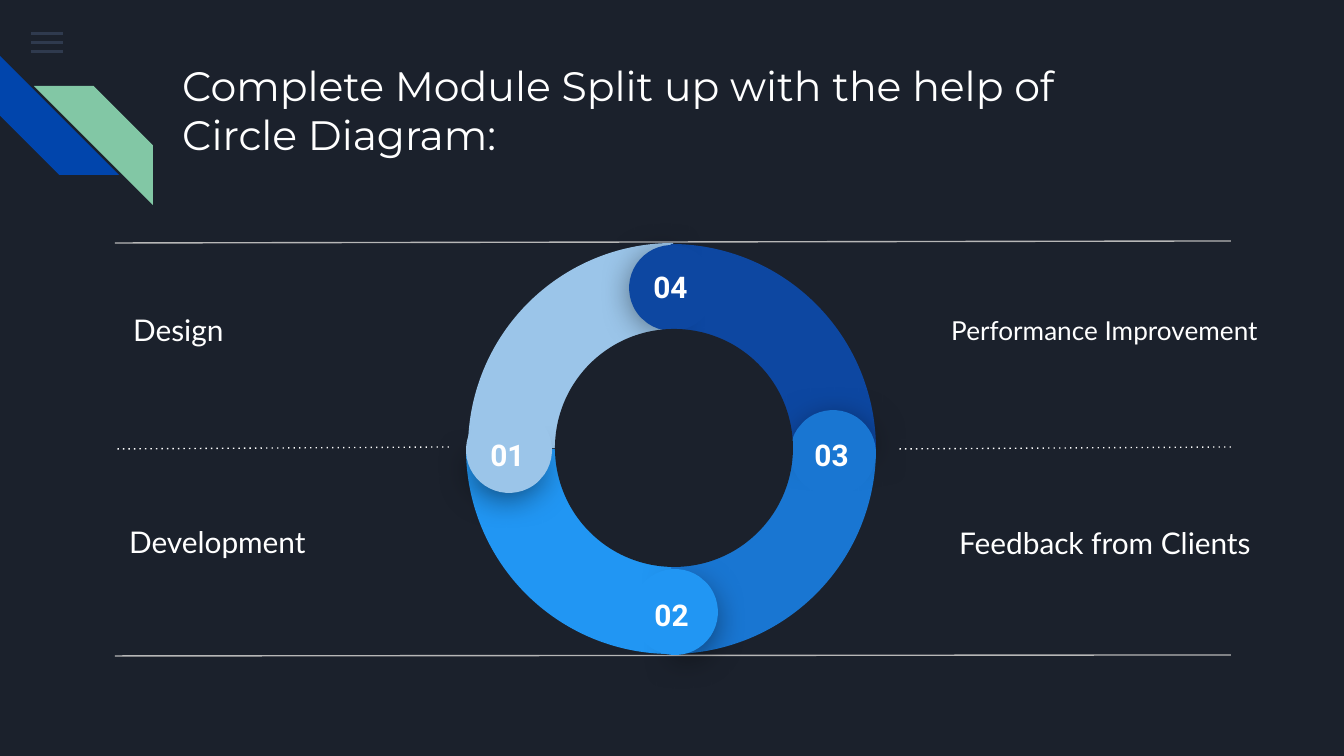
from lxml.etree import SubElement
from pptx import Presentation
from pptx.dml.color import RGBColor
from pptx.enum.shapes import MSO_CONNECTOR, MSO_SHAPE
from pptx.enum.text import MSO_ANCHOR, PP_ALIGN
from pptx.oxml.ns import qn
from pptx.util import Inches, Pt

PX = Inches(10) / 1344

NAVY = RGBColor(0x1B, 0x21, 0x2C)
WHITE = RGBColor(0xFF, 0xFF, 0xFF)
GRAY = RGBColor(0xB7, 0xB7, 0xB7)
SLATE = RGBColor(0x55, 0x68, 0x8B)
ROYAL = RGBColor(0x01, 0x45, 0xAC)
MINT = RGBColor(0x82, 0xC7, 0xA5)
PALE = RGBColor(0x9B, 0xC5, 0xE9)
BRIGHT = RGBColor(0x21, 0x96, 0xF3)
MEDIUM = RGBColor(0x19, 0x76, 0xD2)
DEEP = RGBColor(0x0D, 0x47, 0xA1)

# Content: boxes are left, top, width, height in px
TITLE = ["Complete Module Split up with the help of", "Circle Diagram:"]
TITLE_BOX = (169, 47, 1062, 147)
MODULES = [
    ("Design", (120, 281, 302, 98), 16),
    ("Development", (116, 497, 294, 89), 16),
    ("Performance Improvement", (938, 276, 351, 109), 14),
    ("Feedback from Clients", (946, 488, 351, 109), 16),
]
RULES = [  # left, right, left y, right y, colour, dotted
    (115, 1231, 243, 241, GRAY, False),
    (115, 449, 449, 447, WHITE, True),
    (897, 1231, 449, 447, WHITE, True),
    (115, 1231, 656, 655, GRAY, False),
]
QUADRANTS = [  # clockwise from the upper left
    (PALE, (468, 243)), (DEEP, (466, 244)), (MEDIUM, (466, 244)), (BRIGHT, (466, 244)),
]
CAPS = [  # number, colour, corners of half disc, full disc and label
    ("01", PALE, (468, 413), (466, 407), (470, 423)),
    ("02", BRIGHT, (637, 575), (632, 569), (634, 583)),
    ("03", MEDIUM, (797, 413), (790, 410), (794, 423)),
    ("04", DEEP, (632, 246), (629, 245), (633, 255)),
]
RING, HOLE, HALF_DISC, DISC = 410, 238, 77, 86


def px(*values):
    return [round(value * PX) for value in values]


def arc(*degrees):
    """Turn angles into adjustment values."""
    return [degree * 0.6 for degree in degrees]


def add_shape(slide, kind, box, color, rotation=0, adjustments=()):
    shape = slide.shapes.add_shape(kind, *px(*box))
    shape.shadow.inherit = False
    shape.fill.solid()
    shape.fill.fore_color.rgb = color
    shape.line.fill.background()
    shape.rotation = rotation
    for index, value in enumerate(adjustments):
        shape.adjustments[index] = value
    return shape


def set_alpha(color_element, percent):
    SubElement(color_element, qn("a:alpha"), val=str(percent * 1000))


def add_drop_shadow(shape):
    effects = shape._element.spPr.find(qn("a:effectLst"))
    shadow = SubElement(effects, qn("a:outerShdw"), blurRad=str(Pt(18)), dist=str(Pt(4)),
                        dir="5400000", algn="tl", rotWithShape="0")
    set_alpha(SubElement(shadow, qn("a:srgbClr"), val="000000"), 55)


def add_text(slide, lines, box, size, font, anchor=MSO_ANCHOR.TOP,
             align=PP_ALIGN.LEFT, bold=False):
    text_frame = slide.shapes.add_textbox(*px(*box)).text_frame
    text_frame.word_wrap = True
    text_frame.vertical_anchor = anchor
    text_frame.margin_left = text_frame.margin_right = Inches(0.1)
    text_frame.margin_top = text_frame.margin_bottom = Inches(0.1)
    text_frame.text = "\n".join(lines)
    for paragraph in text_frame.paragraphs:
        paragraph.alignment = align
        for run in paragraph.runs:
            run.font.size = Pt(size)
            run.font.name = font
            run.font.bold = bold
            run.font.color.rgb = WHITE


def add_rule(slide, left, right, left_y, right_y, color, dotted):
    rule = slide.shapes.add_connector(MSO_CONNECTOR.STRAIGHT,
                                      *px(right, right_y, left, left_y))
    rule.line.color.rgb = color
    rule.line.width = Pt(0.75)
    properties = rule._element.spPr
    if dotted:
        SubElement(properties.find(qn("a:ln")), qn("a:prstDash"), val="dot")
    SubElement(properties, qn("a:effectLst"))


def main():
    presentation = Presentation()
    presentation.slide_width, presentation.slide_height = px(1344, 756)
    slide = presentation.slides.add_slide(presentation.slide_layouts[6])
    slide.background.fill.solid()
    slide.background.fill.fore_color.rgb = NAVY

    # Menu bars and corner stripes
    for row in range(3):
        bar = add_shape(slide, MSO_SHAPE.RECTANGLE, (31, 32 + 9 * row, 32, 3), SLATE)
        set_alpha(bar._element.spPr.find(".//" + qn("a:srgbClr")), 36)
    add_shape(slide, MSO_SHAPE.DIAGONAL_STRIPE, (0, 56, 119, 119), ROYAL, 270, [0.5])
    stripe = add_shape(slide, MSO_SHAPE.DIAGONAL_STRIPE, (34, 86, 119, 119), MINT, 0, [0.5])
    stripe._element.spPr.xfrm.set("flipH", "1")

    # Title, module names and rules
    add_text(slide, TITLE, TITLE_BOX, 22, "Montserrat")
    for name, box, size in MODULES:
        add_text(slide, [name], box, size, "Lato", MSO_ANCHOR.MIDDLE)
    for rule in RULES:
        add_rule(slide, *rule)

    # Ring quadrants
    for index, (color, corner) in enumerate(QUADRANTS):
        add_shape(slide, MSO_SHAPE.PIE, (*corner, RING, RING), color,
                  90 * index, arc(179.93, 270.02))

    # Rounded, numbered ends
    for index, (number, color, half, disc, label) in enumerate(CAPS):
        turn = -90 * index
        half_arc = arc(328.12, 129.52) if number == "03" else arc(315.89, 139.68)
        half_disc = add_shape(slide, MSO_SHAPE.PIE, (*half, HALF_DISC, HALF_DISC), color,
                              (39.5 + turn) % 360, half_arc)
        add_drop_shadow(half_disc)
        add_shape(slide, MSO_SHAPE.CHORD, (*disc, DISC, DISC), color,
                  (4.1 + turn) % 360, arc(41.68, 30.2))
        add_text(slide, [number], (*label, 75, 39), 16, "Roboto",
                 align=PP_ALIGN.CENTER, bold=True)

    # Centre of the ring
    add_shape(slide, MSO_SHAPE.OVAL, (555, 329, HOLE, HOLE), NAVY)

    presentation.save("out.pptx")


if __name__ == "__main__":
    main()
